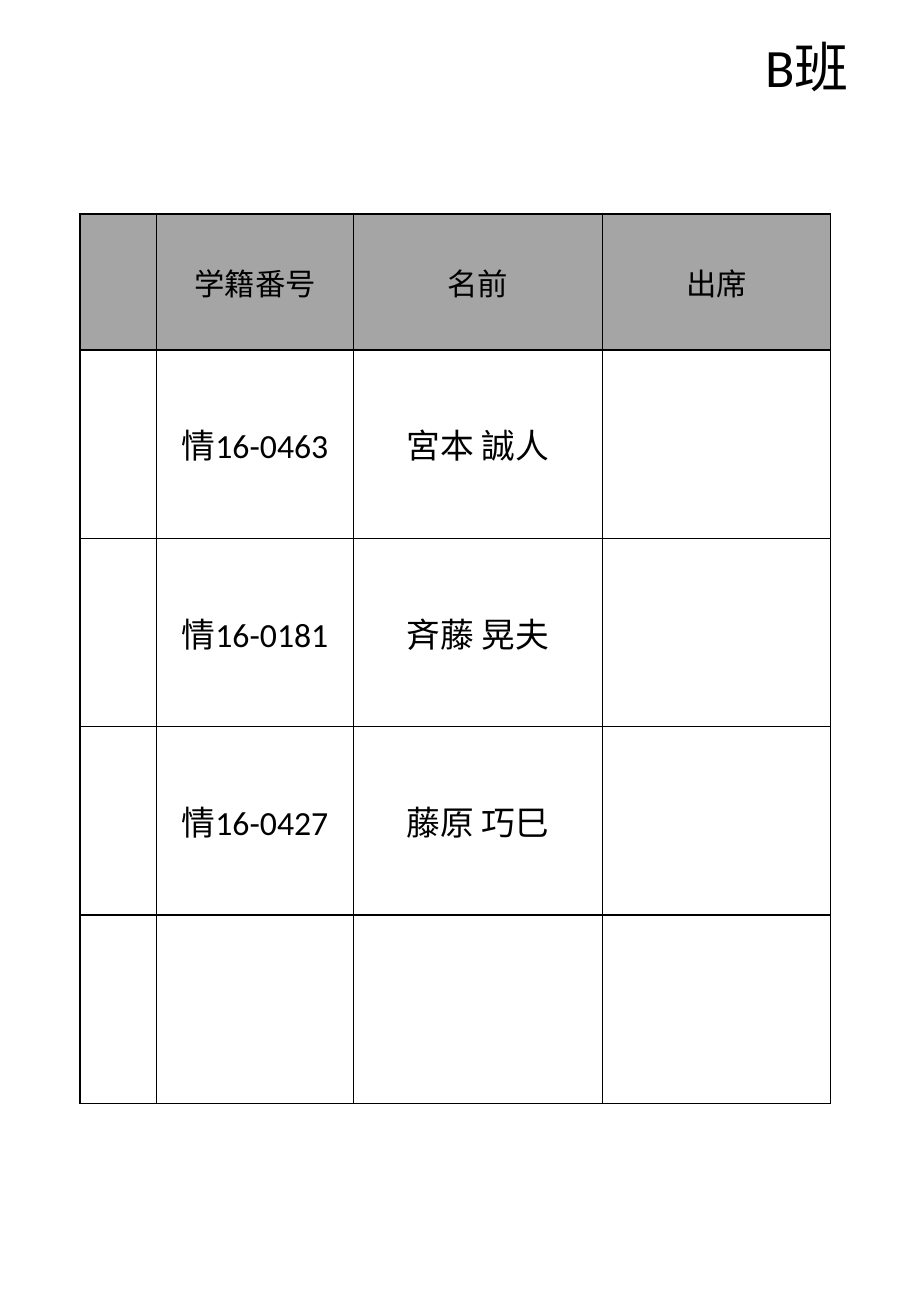
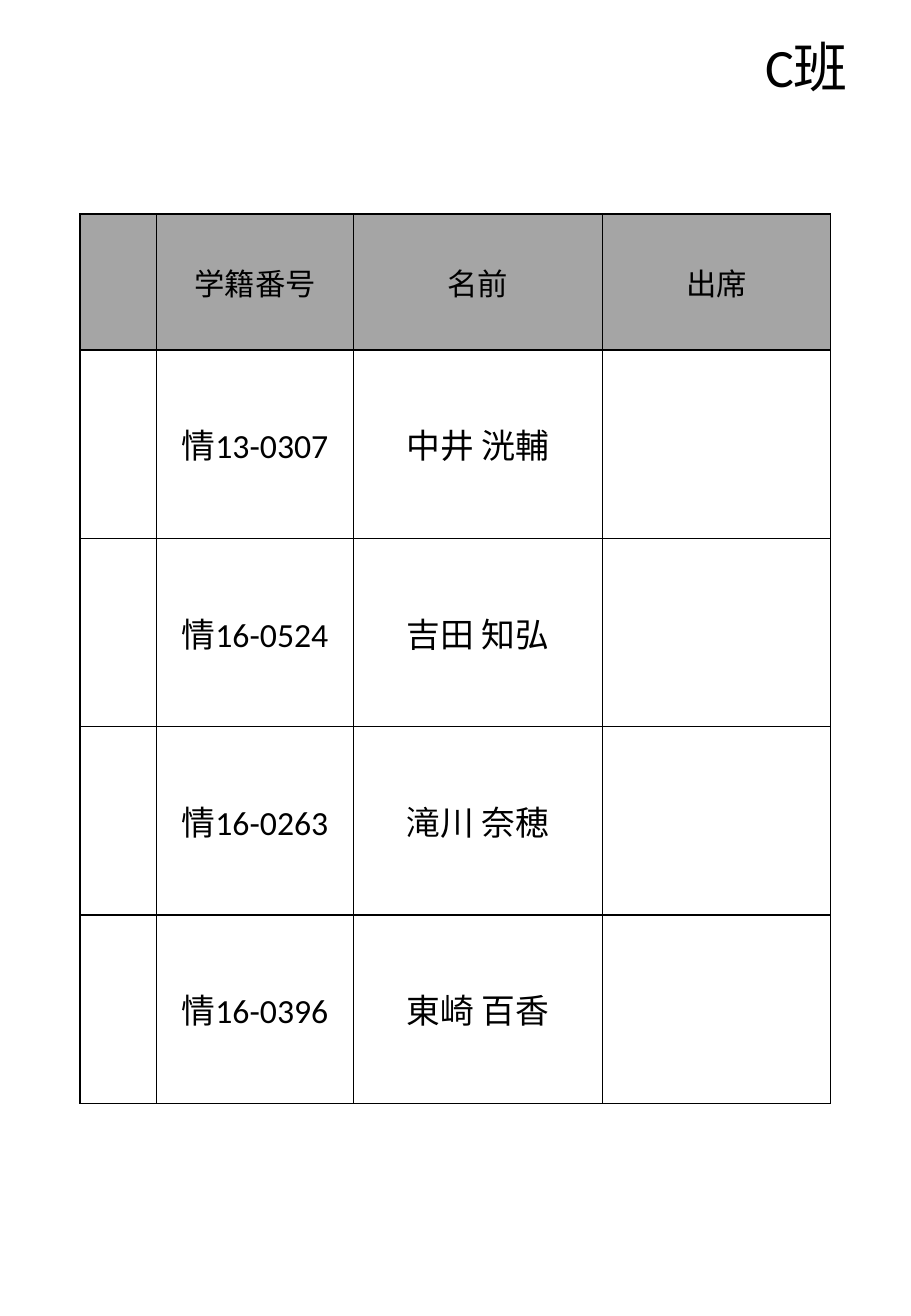
from lxml.etree import SubElement
from pptx import Presentation
from pptx.dml.color import RGBColor
from pptx.enum.text import MSO_ANCHOR, MSO_AUTO_SIZE, PP_ALIGN
from pptx.oxml.ns import qn
from pptx.util import Emu, Pt

PX_PER_INCH = 100
HEADERS = ["", "学籍番号", "名前", "出席"]
COL_WIDTHS = [63, 162, 205, 188]
HEADER_HEIGHT, MEMBER_HEIGHT = 112, 155
MEMBER_ROWS = 4

GROUPS = {
    "B班": [
        ("情16-0463", "宮本 誠人"),
        ("情16-0181", "斉藤 晃夫"),
        ("情16-0427", "藤原 巧巳"),
    ],
    "C班": [
        ("情13-0307", "中井 洸輔"),
        ("情16-0524", "吉田 知弘"),
        ("情16-0263", "滝川 奈穂"),
        ("情16-0396", "東崎 百香"),
    ],
}


def px(n):
    return Emu(n * 914400 // PX_PER_INCH)


def rgb(value):
    return RGBColor.from_string(value)


class Sheet:
    """Attendance sheet style, drawn on the current slide."""

    FONT = "Calibri"
    INK, HEADER_FILL, CELL_FILL = "000000", "A5A5A5", "FFFFFF"
    TITLE_SIZE, HEADER_SIZE, MEMBER_SIZE = 32, 18, 20

    def __init__(self, prs):
        self.prs = prs
        self.slide = None

    def new_slide(self):
        self.slide = self.prs.slides.add_slide(self.prs.slide_layouts[6])

    def set_text(self, tf, text, size, align=PP_ALIGN.LEFT):
        p = tf.paragraphs[0]
        p.text = text
        p.alignment = align
        p.font.name = self.FONT
        p.font.size = Pt(size)
        p.font.color.rgb = rgb(self.INK)

    def title(self, text):
        sp = self.slide.shapes.add_textbox(px(620), px(23), px(102), px(64))
        tf = sp.text_frame
        tf.word_wrap = True
        tf.auto_size = MSO_AUTO_SIZE.SHAPE_TO_FIT_TEXT
        self.set_text(tf, text, self.TITLE_SIZE)

    def borders(self, cell):
        tc_pr = cell._tc.get_or_add_tcPr()
        for side in ("a:lnL", "a:lnR", "a:lnT", "a:lnB"):
            ln = SubElement(tc_pr, qn(side), w=str(Pt(1)))
            fill = SubElement(ln, qn("a:solidFill"))
            SubElement(fill, qn("a:srgbClr"), val=self.INK)

    def cell(self, cell, text, is_header):
        self.borders(cell)
        cell.fill.solid()
        cell.fill.fore_color.rgb = rgb(self.HEADER_FILL if is_header else self.CELL_FILL)
        cell.vertical_anchor = MSO_ANCHOR.MIDDLE
        if not is_header:
            cell.margin_left = cell.margin_right = px(7)
            cell.margin_top = cell.margin_bottom = px(3)
        if text:
            size = self.HEADER_SIZE if is_header else self.MEMBER_SIZE
            self.set_text(cell.text_frame, text, size, PP_ALIGN.CENTER)

    def roster(self, members):
        """Table of members, filled up with blank rows."""
        rows = [HEADERS] + [["", number, name, ""] for number, name in members]
        rows += [[""] * len(HEADERS)] * (MEMBER_ROWS - len(members))
        heights = [HEADER_HEIGHT] + [MEMBER_HEIGHT] * MEMBER_ROWS
        table = self.slide.shapes.add_table(
            len(rows), len(HEADERS), px(66), px(176),
            px(sum(COL_WIDTHS)), px(sum(heights))).table
        table.first_row = table.horz_banding = False
        for col, width in zip(table.columns, COL_WIDTHS):
            col.width = px(width)
        for i, (row, height) in enumerate(zip(table.rows, heights)):
            row.height = px(height)
            for cell, text in zip(row.cells, rows[i]):
                self.cell(cell, text, is_header=i == 0)


def main():
    prs = Presentation()
    prs.slide_width, prs.slide_height = px(750), px(1083)
    sheet = Sheet(prs)
    for group, members in GROUPS.items():
        sheet.new_slide()
        sheet.roster(members)
        sheet.title(group)
    prs.save("out.pptx")


if __name__ == "__main__":
    main()
